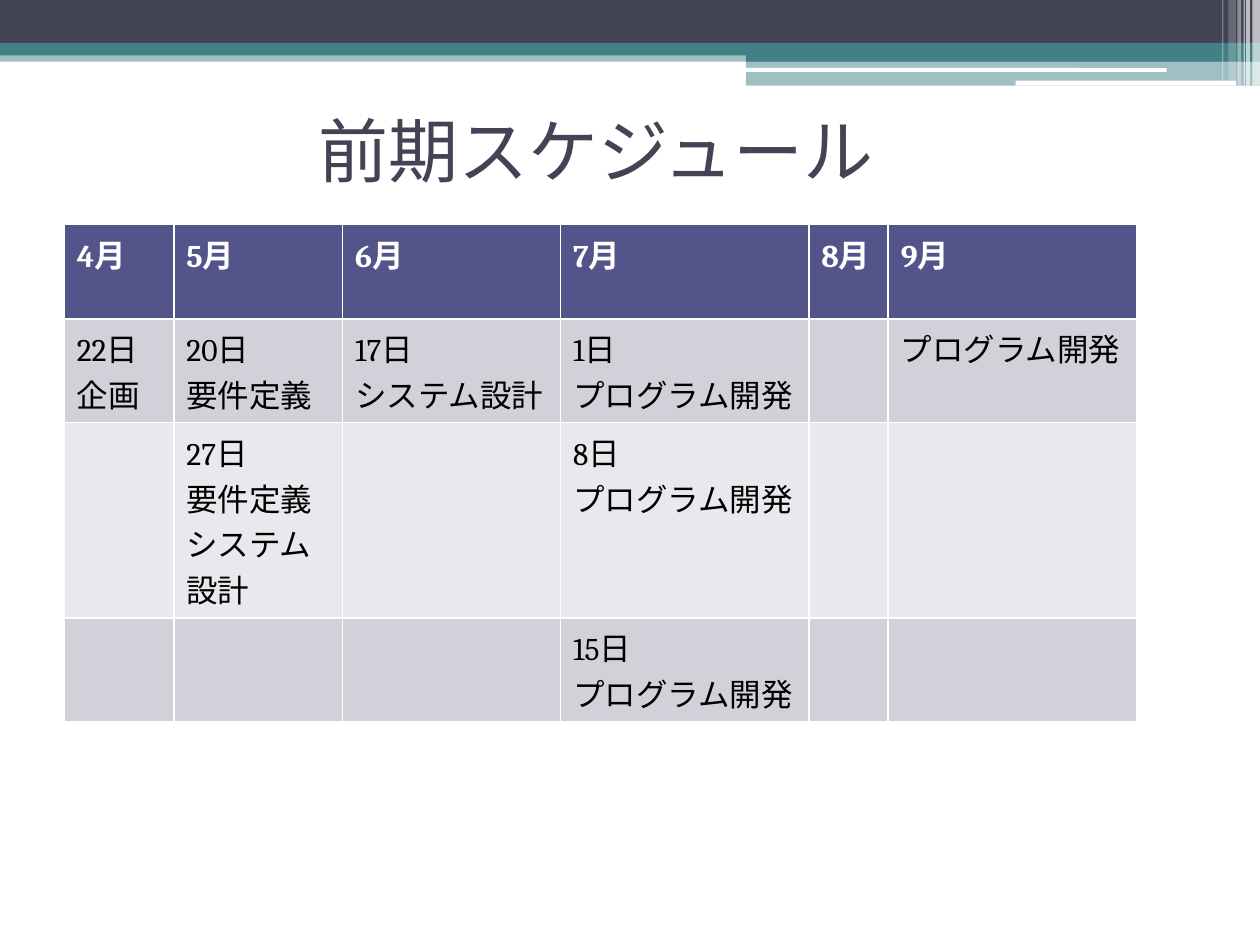
"""Build the first-term schedule slide with its banner and monthly table."""
from pptx import Presentation
from pptx.dml.color import RGBColor
from pptx.enum.lang import MSO_LANGUAGE_ID as Language
from pptx.enum.shapes import MSO_SHAPE as Preset
from pptx.enum.text import MSO_ANCHOR as Anchor, MSO_AUTO_SIZE as AutoSize, PP_ALIGN as Align
from pptx.oxml.xmlchemy import OxmlElement
from pptx.util import Inches, Pt

THEME = {
    "navy": "424456", "teal": "438086", "white": "FFFFFF", "black": "000000",
    "header": "53548A", "band_dark": "D1D1DA", "band_light": "E9E9ED",
    "title_font": "Noto Sans", "table_font": "Cambria",
    "title_size": 40, "table_size": 18,
}


def paint(fill, color, opacity=100):
    fill.solid()
    fill.fore_color.rgb = RGBColor.from_string(THEME[color])
    if opacity < 100:
        alpha = OxmlElement("a:alpha")
        alpha.set("val", str(opacity * 1000))
        fill.fore_color._xFill[0].append(alpha)


def format_text(paragraph, part, color, bold=False):
    values = {
        "name": THEME[f"{part}_font"], "size": Pt(THEME[f"{part}_size"]),
        "bold": bold, "language_id": Language.JAPANESE,
    }
    for run in paragraph.runs:
        for name, value in values.items():
            setattr(run.font, name, value)
        run.font.color.rgb = RGBColor.from_string(THEME[color])


presentation = Presentation()
presentation.slide_width, presentation.slide_height = Inches(10), Inches(7.5)
slide = presentation.slides.add_slide(presentation.slide_layouts[5])

bars = [
    (0, 0.4, 10, 0.09, "teal", 50),
    (0, 0, 10, 0.34, "navy", 100),
    (0, 0.34, 10, 0.1, "teal", 100),
    (5.92, 0.39, 4.08, 0.1, "teal", 100),
    (5.92, 0.48, 4.08, 0.2, "teal", 50),
]
rounded_lines = [
    (5.91, 0.54, 3.35, 0.03, "white", 100),
    (8.06, 0.64, 1.75, 0.04, "white", 100),
]
stripes = [
    (left, 0, width, height, "white", opacity)
    for left, width, height, opacity in [
        (9.94, 0.06, 0.68, 65), (9.89, 0.03, 0.68, 65), (9.87, 0.01, 0.68, 60),
        (9.82, 0.03, 0.68, 40), (9.75, 0.06, 0.64, 20), (9.7, 0.01, 0.64, 30),
    ]
]
banner = [(Preset.RECTANGLE, bars), (Preset.ROUNDED_RECTANGLE, rounded_lines),
          (Preset.RECTANGLE, stripes)]
for preset, pieces in banner:
    for *box, color, opacity in pieces:
        shape = slide.shapes.add_shape(preset, *map(Inches, box))
        shape.shadow.inherit = False
        shape.line.fill.background()
        paint(shape.fill, color, opacity)

title = slide.shapes.title
slide.shapes.element.append(title.element)
title_box = {"left": 0.51, "top": 0.6, "width": 9, "height": 1.17}
for name, value in title_box.items():
    setattr(title, name, Inches(value))
title.text_frame.text = "前期スケジュール\u3000"
title.text_frame.auto_size = AutoSize.NONE
title.text_frame.vertical_anchor = Anchor.MIDDLE
title.text_frame.paragraphs[0].alignment = Align.CENTER
format_text(title.text_frame.paragraphs[0], "title", "navy")

development = "プログラム開発"
schedule = [
    [f"{month}月" for month in range(4, 10)],
    ["22日\n企画", "20日\n要件定義", "17日\nシステム設計", f"1日\n{development}", "", development],
    ["", "27日\n要件定義\vシステム設計", "", f"8日\n{development}", "", ""],
    ["", "", "", f"15日\n{development}", "", ""],
]
column_widths = [0.87, 1.34, 1.73, 1.97, 0.63, 1.97]
row_heights = [0.75, 0.82, 1.55, 0.82]
row_fills = ["header", "band_dark", "band_light", "band_dark"]
table = slide.shapes.add_table(
    len(schedule), len(column_widths), Inches(0.51), Inches(1.78),
    Inches(sum(column_widths)), Inches(sum(row_heights))).table
for column, width in zip(table.columns, column_widths):
    column.width = Inches(width)
for row, height, fill, texts in zip(table.rows, row_heights, row_fills, schedule):
    row.height = Inches(height)
    is_header = fill == "header"
    for cell, text in zip(row.cells, texts):
        cell.text = text
        paint(cell.fill, fill)
        for paragraph in cell.text_frame.paragraphs:
            format_text(paragraph, "table", "white" if is_header else "black", is_header)

presentation.save("out.pptx")
